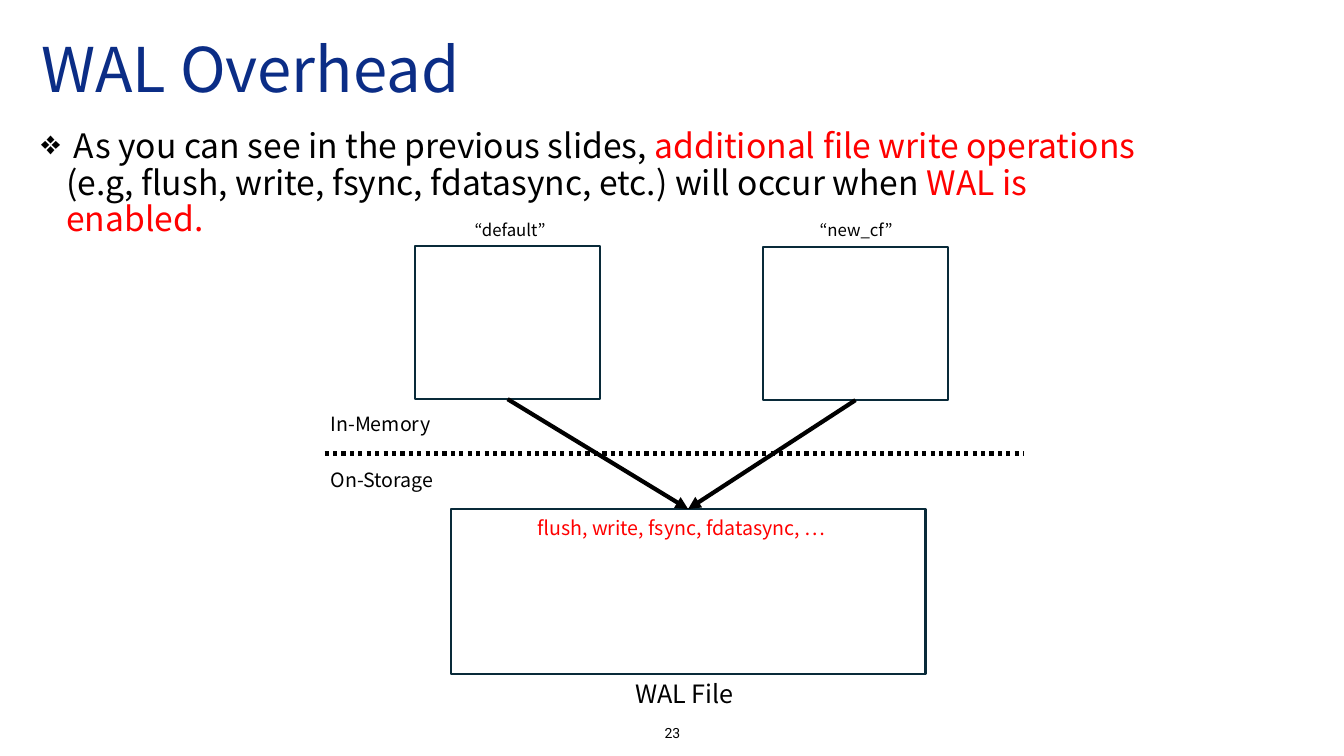
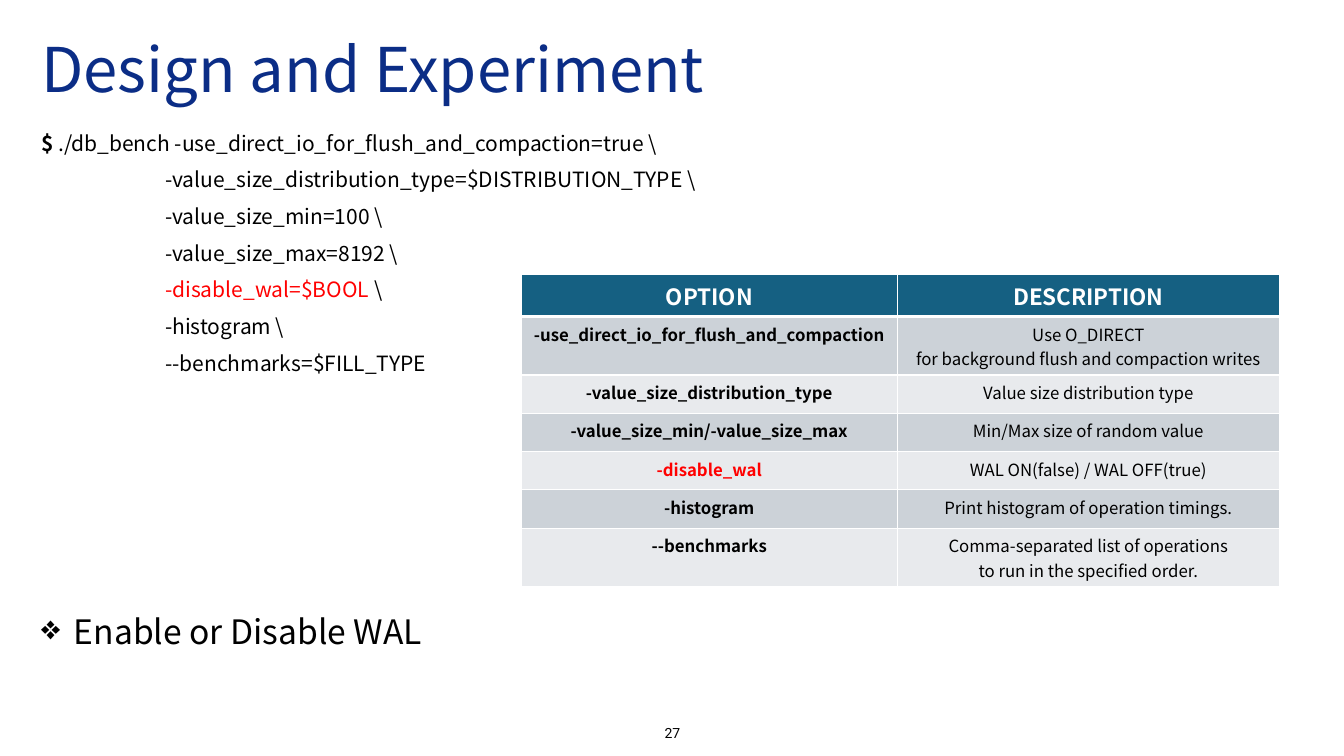
"""Build two slides on write-ahead-log overhead and its benchmark set-up."""
from lxml import etree
from pptx import Presentation
from pptx.dml.color import RGBColor
from pptx.enum.dml import MSO_LINE
from pptx.enum.shapes import MSO_CONNECTOR, MSO_SHAPE
from pptx.enum.text import MSO_ANCHOR, MSO_AUTO_SIZE, PP_ALIGN
from pptx.oxml.ns import qn
from pptx.util import Inches, Pt

BLACK = RGBColor(0x00, 0x00, 0x00)
WHITE = RGBColor(0xFF, 0xFF, 0xFF)
RED = RGBColor(0xFF, 0x00, 0x00)
NAVY = RGBColor(0x0B, 0x2D, 0x86)
OUTLINE = RGBColor(0x09, 0x2A, 0x39)
HEADER_FILL = RGBColor(0x15, 0x60, 0x82)
BAND_FILLS = (RGBColor(0xCC, 0xD2, 0xD8), RGBColor(0xE8, 0xEA, 0xED))

TEXT_FONT = "Noto Sans CJK KR"
NUMBER_FONT = "Roboto"
LEFT, CENTER = PP_ALIGN.LEFT, PP_ALIGN.CENTER
TOP, MIDDLE = MSO_ANCHOR.TOP, MSO_ANCHOR.MIDDLE
NO_AUTOFIT = MSO_AUTO_SIZE.NONE
RECTANGLE = MSO_SHAPE.RECTANGLE
STRAIGHT = MSO_CONNECTOR.STRAIGHT
DOTTED = MSO_LINE.ROUND_DOT
TITLE_ONLY = 5
SITE_TOP, SITE_BOTTOM = 0, 2
LINE_SPACING = 0.9
BULLET_SIZE = 24
CODE_INDENT = 1.23

COMMAND = [
    [("$", BLACK, True),
     (" ./db_bench -use_direct_io_for_flush_and_compaction=true \\", BLACK)],
    [("-value_size_distribution_type=$DISTRIBUTION_TYPE \\", BLACK)],
    [("-value_size_min=100 \\", BLACK)],
    [("-value_size_max=8192 \\", BLACK)],
    [("-disable_wal=$BOOL ", RED), ("\\", BLACK)],
    [("-histogram \\", BLACK)],
    [("--benchmarks=$FILL_TYPE", BLACK)],
]
OPTIONS = [
    ("OPTION", ["DESCRIPTION"]),
    ("-use_direct_io_for_flush_and_compaction",
     ["Use O_DIRECT", "for background flush and compaction writes"]),
    ("-value_size_distribution_type", ["Value size distribution type"]),
    ("-value_size_min/-value_size_max", ["Min/Max size of random value"]),
    ("-disable_wal", ["WAL ON(false) / WAL OFF(true)"]),
    ("-histogram", ["Print histogram of operation timings."]),
    ("--benchmarks",
     ["Comma-separated list of operations", "to run in the specified order."]),
]
COLUMN_WIDTHS = (3.73, 3.79)
HEADER_HEIGHT = 0.42
ROW_HEIGHTS_BY_LINES = {1: 0.38, 2: 0.58}


def add_run(paragraph, text, size, color=BLACK, bold=False, font=TEXT_FONT):
    """Append one formatted run to a paragraph."""
    run = paragraph.add_run()
    run.text = text
    run.font.size = Pt(size)
    run.font.name = font
    run.font.bold = bold
    run.font.color.rgb = color


def set_indent(paragraph, margin, first_line=0):
    """Set the left margin and first-line offset of a paragraph."""
    properties = paragraph._p.get_or_add_pPr()
    properties.set("marL", str(Inches(margin)))
    properties.set("indent", str(Inches(first_line)))
    return properties


def add_text_frame(slide, left, top, width, height, anchor=TOP):
    """Add a wrapping text box and return its text frame."""
    box = slide.shapes.add_textbox(
        Inches(left), Inches(top), Inches(width), Inches(height))
    frame = box.text_frame
    frame.word_wrap = True
    frame.vertical_anchor = anchor
    return frame


def add_label(slide, text, left, top, width, height, size, color=BLACK):
    """Add a one-line diagram label."""
    frame = add_text_frame(slide, left, top, width, height)
    add_run(frame.paragraphs[0], text, size, color)


def add_bullet(slide, runs, top, height):
    """Add a diamond-bulleted statement made of coloured runs."""
    paragraph = add_text_frame(slide, 0.31, top, 11.34, height).paragraphs[0]
    properties = set_indent(paragraph, 0.25, -0.25)
    etree.SubElement(properties, qn("a:buChar")).set("char", "❖")
    paragraph.font.size = Pt(BULLET_SIZE)
    paragraph.line_spacing = LINE_SPACING
    for text, color in runs:
        add_run(paragraph, text, BULLET_SIZE, color)


def add_titled_slide(deck, heading, number):
    """Add a slide with the shared title style and page number."""
    slide = deck.slides.add_slide(deck.slide_layouts[TITLE_ONLY])
    title = slide.shapes.title
    title.left, title.top = Inches(0.31), Inches(0.19)
    title.width, title.height = Inches(11.5), Inches(1.05)
    frame = title.text_frame
    frame.auto_size = NO_AUTOFIT
    frame.vertical_anchor = MIDDLE
    paragraph = frame.paragraphs[0]
    paragraph.alignment = LEFT
    paragraph.line_spacing = LINE_SPACING
    add_run(paragraph, heading, 44, NAVY)

    footer = add_text_frame(slide, 5.17, 7.11, 3, 0.32, MIDDLE).paragraphs[0]
    footer.alignment = CENTER
    add_run(footer, number, 10, font=NUMBER_FONT)
    return slide


def add_outline_box(slide, left, top, width, height):
    """Add an unfilled rectangle."""
    box = slide.shapes.add_shape(
        RECTANGLE, Inches(left), Inches(top), Inches(width), Inches(height))
    box.shadow.inherit = False
    box.fill.background()
    box.line.color.rgb = OUTLINE
    box.line.width = Pt(1.5)
    return box


def add_line(slide, start=(0, 0), end=(0, 0)):
    """Add a thick black line without a shadow."""
    line = slide.shapes.add_connector(
        STRAIGHT, *(Inches(value) for value in (*start, *end)))
    line.line.color.rgb = BLACK
    line.line.width = Pt(3)
    etree.SubElement(line._element.spPr, qn("a:effectLst"))
    return line


def add_arrow(slide, source, target):
    """Join the bottom of one box to the top of another with an arrow."""
    arrow = add_line(slide)
    arrow.begin_connect(source, SITE_BOTTOM)
    arrow.end_connect(target, SITE_TOP)
    outline = arrow.line._get_or_add_ln()
    etree.SubElement(outline, qn("a:tailEnd")).set("type", "triangle")


def set_borders(cell, row):
    """Give a cell white borders, thicker beneath the header row."""
    properties = cell._tc.get_or_add_tcPr()
    widths = {"lnL": 1, "lnR": 1, "lnT": 3 if row == 1 else 1,
              "lnB": 3 if row == 0 else 1}
    for side, width in widths.items():
        border = etree.SubElement(properties, qn(f"a:{side}"))
        border.set("w", str(Pt(width)))
        fill = etree.SubElement(border, qn("a:solidFill"))
        etree.SubElement(fill, qn("a:srgbClr")).set("val", str(WHITE))


def fill_cell(cell, lines, row, size, color, bold):
    """Write centred lines into a cell and set its border and fill."""
    set_borders(cell, row)
    cell.fill.solid()
    cell.fill.fore_color.rgb = BAND_FILLS[(row - 1) % 2] if row else HEADER_FILL
    frame = cell.text_frame
    for index, line in enumerate(lines):
        paragraph = frame.add_paragraph() if index else frame.paragraphs[0]
        paragraph.alignment = CENTER
        add_run(paragraph, line, size, color, bold)


def add_option_table(slide):
    """Add the table of benchmark options."""
    heights = [HEADER_HEIGHT] + [
        ROW_HEIGHTS_BY_LINES[len(description)] for _, description in OPTIONS[1:]]
    table = slide.shapes.add_table(
        len(OPTIONS), len(COLUMN_WIDTHS), Inches(5.17), Inches(2.72),
        Inches(sum(COLUMN_WIDTHS)), Inches(sum(heights))).table
    for column, width in zip(table.columns, COLUMN_WIDTHS):
        column.width = Inches(width)
    for row, (option, description) in enumerate(OPTIONS):
        table.rows[row].height = Inches(heights[row])
        header = row == 0
        size = 16 if header else 12
        text_color = WHITE if header else BLACK
        option_color = RED if option == "-disable_wal" else text_color
        fill_cell(table.cell(row, 0), [option], row, size, option_color, True)
        fill_cell(table.cell(row, 1), description, row, size, text_color, header)


def add_command(slide):
    """Add the benchmark command with indented continuation lines."""
    frame = add_text_frame(slide, 0.31, 1.27, 12.9, 2.6)
    for index, runs in enumerate(COMMAND):
        paragraph = frame.paragraphs[0]
        if index:
            paragraph = frame.add_paragraph()
            set_indent(paragraph, CODE_INDENT)
            paragraph.space_before = Pt(10)
        paragraph.line_spacing = LINE_SPACING
        for text, *style in runs:
            add_run(paragraph, text, 15, *style)


def build_overhead_slide(deck):
    """Build the diagram of column families writing to the log."""
    slide = add_titled_slide(deck, "WAL Overhead", "23")
    add_bullet(slide, [
        (" As you can see in the previous slides, ", BLACK),
        ("additional file write operations ", RED),
        ("(e.g, flush, write, fsync, fdatasync, etc.) will occur when ", BLACK),
        ("WAL is enabled.", RED),
    ], 1.24, 1.2)

    wal_file = add_outline_box(slide, 4.47, 5.05, 4.71, 1.64)
    for name, box_left, box_top, label_left in (
            ("“default”", 4.12, 2.44, 4.61), ("“new_cf”", 7.57, 2.45, 8.03)):
        family = add_outline_box(slide, box_left, box_top, 1.83, 1.52)
        add_label(slide, name, label_left, 2.13, 1.3, 0.38, 12)
        add_arrow(slide, family, wal_file)

    boundary = add_line(slide, (3.22, 4.5), (10.15, 4.5))
    boundary.line.dash_style = DOTTED
    add_label(slide, "In-Memory", 3.18, 4.04, 1.84, 0.43, 14)
    add_label(slide, "On-Storage", 3.18, 4.59, 1.84, 0.43, 14)
    add_label(slide, "flush, write, fsync, fdatasync, …",
              5.23, 5.07, 3.18, 0.36, 14, RED)
    add_label(slide, "WAL File", 6.2, 6.68, 1.38, 0.44, 18)


def build_experiment_slide(deck):
    """Build the benchmark command and its option table."""
    slide = add_titled_slide(deck, "Design and Experiment", "27")
    add_option_table(slide)
    add_command(slide)
    add_bullet(slide, [(" Enable or Disable WAL", BLACK)], 6.06, 0.5)


def main():
    """Create and save the presentation."""
    deck = Presentation()
    deck.slide_width, deck.slide_height = Inches(13.33), Inches(7.5)
    build_overhead_slide(deck)
    build_experiment_slide(deck)
    deck.save("out.pptx")


if __name__ == "__main__":
    main()
